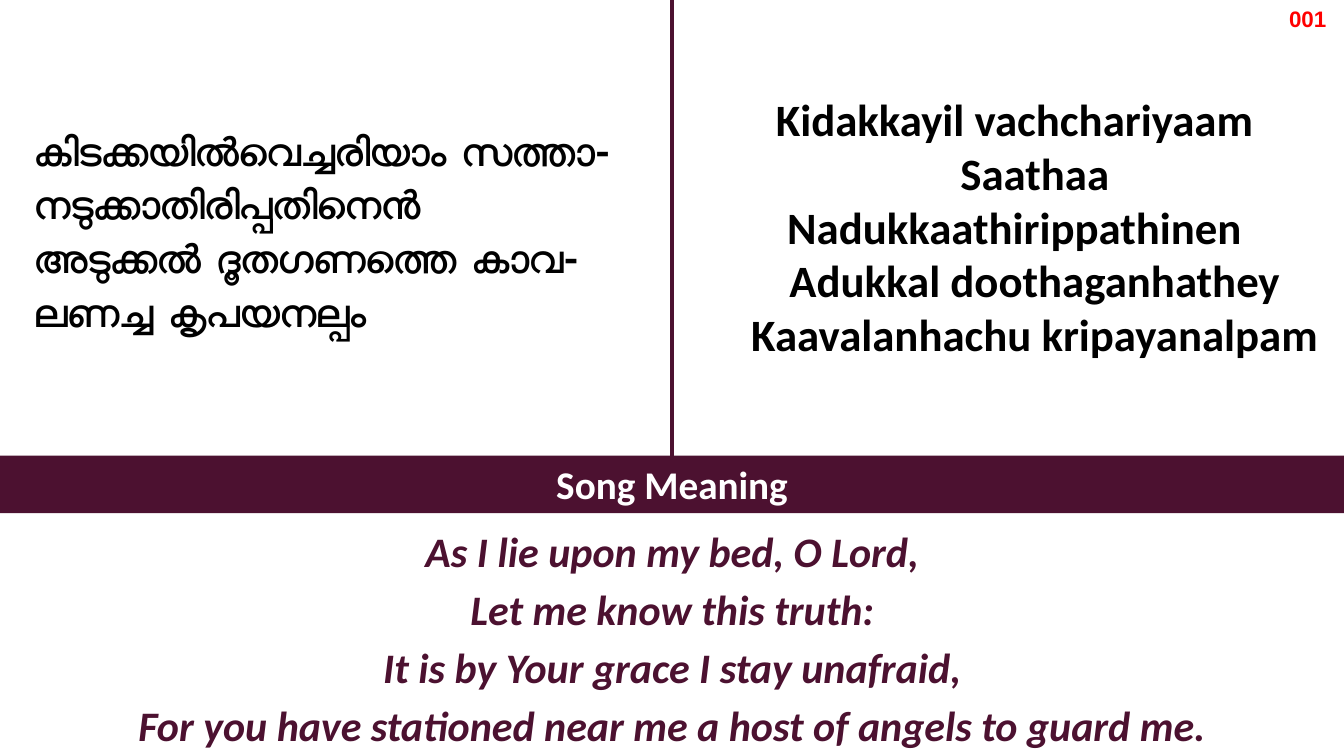
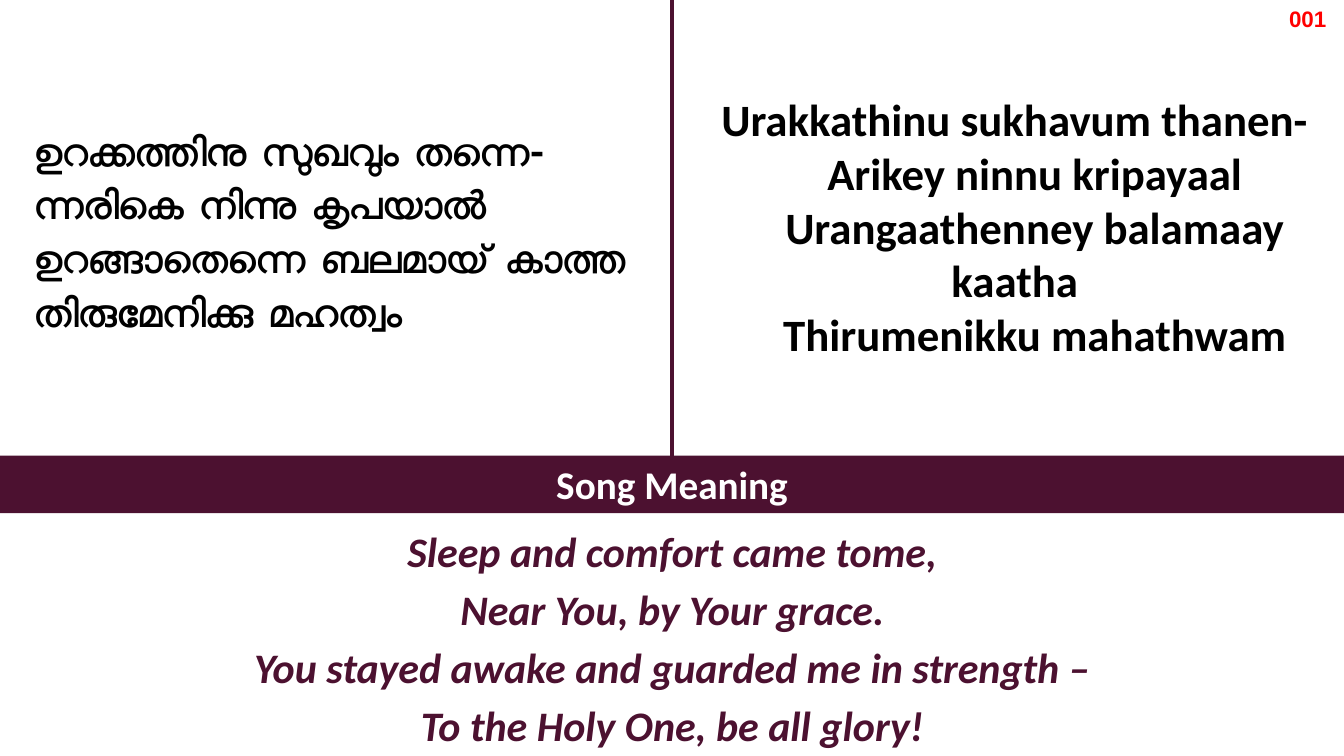
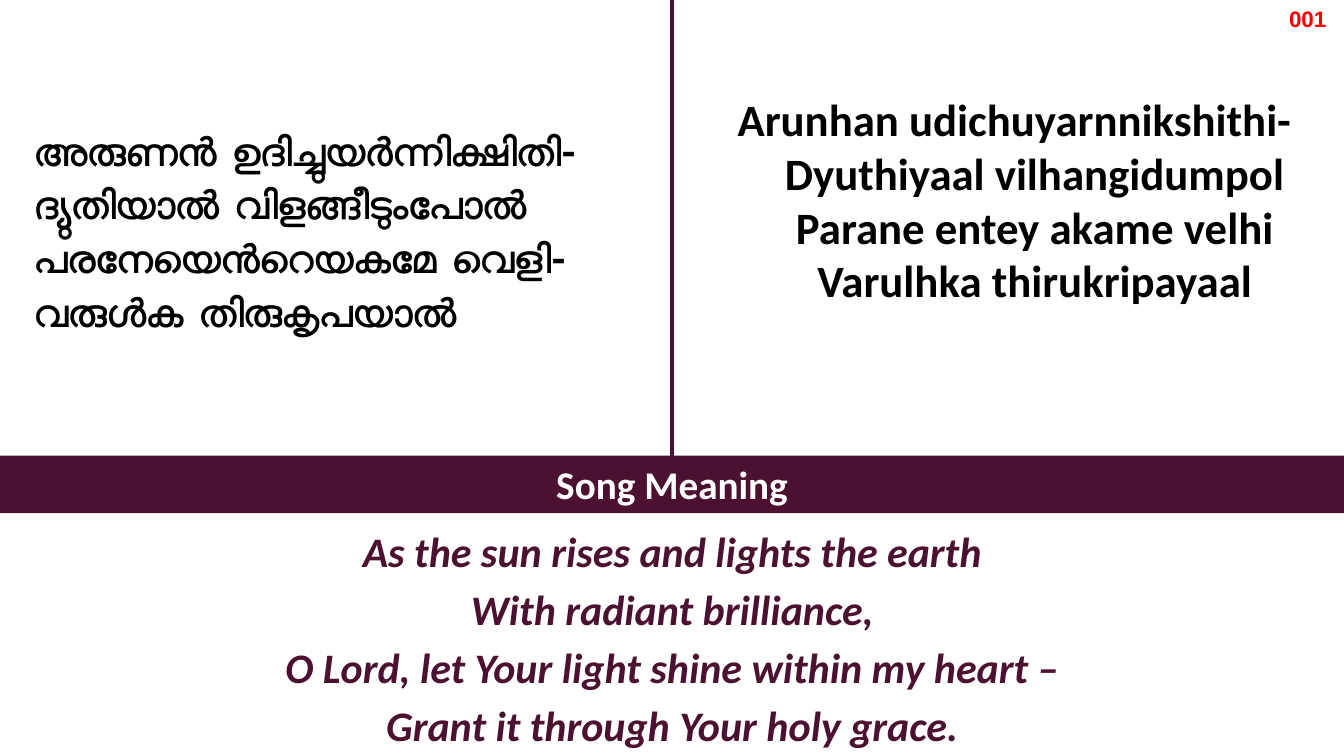
import pptx
import pptx.dml.color
import pptx.enum.shapes
import pptx.enum.text
import pptx.oxml.ns
import pptx.util
from lxml import etree

Inches = pptx.util.Inches
Pt = pptx.util.Pt
ALIGN = pptx.enum.text.PP_ALIGN
ANCHOR = pptx.enum.text.MSO_ANCHOR
FIT = pptx.enum.text.MSO_AUTO_SIZE

PLUM, BLACK, WHITE, RED = "4C1130", "000000", "FFFFFF", "FF0000"
PAGE_WIDTH, PAGE_HEIGHT = 13.33, 7.5
BAND_TOP, BAND_HEIGHT = 4.52, 0.57
VERSE_LINE_HEIGHT = 0.54
VERSE_INDENT = 0.4
SONG_NUMBER = "001"

# Each stanza: Malayalam lines, transliterated lines, rows these wrap to, meaning
STANZAS = [
    (
        ["കിടക്കയിൽവെച്ചരിയാം സത്താ-", "നടുക്കാതിരിപ്പതിനെൻ",
         "അടുക്കൽ ദൂതഗണത്തെ കാവ-", "ലണച്ച കൃപയനല്പം"],
        ["Kidakkayil vachchariyaam", "Saathaa Nadukkaathirippathinen",
         "Adukkal doothaganhathey", "Kaavalanhachu kripayanalpam"],
        5,
        ["As I lie upon my bed, O Lord,", "Let me know this truth:",
         "It is by Your grace I stay unafraid,",
         "For you have stationed near me a host of angels to guard me."],
    ),
    (
        ["ഉറക്കത്തിനു സുഖവും തന്നെ-", "ന്നരികെ നിന്നു കൃപയാൽ",
         "ഉറങ്ങാതെന്നെ ബലമായ് കാത്ത", "തിരുമേനിക്കു മഹത്വം"],
        ["Urakkathinu sukhavum thanen-", "Arikey ninnu kripayaal",
         "Urangaathenney balamaay kaatha", "Thirumenikku mahathwam"],
        5,
        ["Sleep and comfort came tome,", "Near You, by Your grace.",
         "You stayed awake and guarded me in strength –",
         "To the Holy One, be all glory!"],
    ),
    (
        ["അരുണൻ ഉദിച്ചുയർന്നിക്ഷിതി-", "ദ്യുതിയാൽ വിളങ്ങീടുംപോൽ",
         "പരനേയെൻറെയകമേ വെളി-", "വരുൾക തിരുകൃപയാൽ"],
        ["Arunhan udichuyarnnikshithi-", "Dyuthiyaal vilhangidumpol",
         "Parane entey akame velhi", "Varulhka thirukripayaal"],
        4,
        ["As the sun rises and lights the earth", "With radiant brilliance,",
         "O Lord, let Your light shine within my heart –",
         "Grant it through Your holy grace."],
    ),
]


def color(value):
    return pptx.dml.color.RGBColor.from_string(value)


def write(shape, text, font, size, fill, align=ALIGN.CENTER, spacing=None,
          italic=False, anchor=ANCHOR.TOP, fit=FIT.SHAPE_TO_FIT_TEXT,
          insets=(0.1, 0.05)):
    """Fill a shape with bold text, one paragraph a line."""
    frame = shape.text_frame
    frame.text = text
    frame.word_wrap = True
    frame.auto_size = fit
    frame.vertical_anchor = anchor
    frame.margin_left = frame.margin_right = Inches(insets[0])
    frame.margin_top = frame.margin_bottom = Inches(insets[1])
    for paragraph in frame.paragraphs:
        paragraph.alignment = align
        if spacing:
            paragraph.line_spacing = spacing
        for span in paragraph.runs:
            span.font.name = font
            span.font.size = Pt(size)
            span.font.bold = True
            span.font.italic = italic
            span.font.color.rgb = color(fill)


def add_text(page, box, text, font, size, fill, **style):
    shape = page.shapes.add_textbox(*map(Inches, box))
    write(shape, text, font, size, fill, **style)
    return shape


def place_malayalam(page, box, lines):
    title = page.shapes.title
    title.left, title.top, title.width, title.height = map(Inches, box)
    write(title, "\v".join(lines), "Roboto", 28, BLACK, align=ALIGN.LEFT,
          spacing=1.14, anchor=ANCHOR.MIDDLE, fit=FIT.NONE)


def add_transliteration(page, box, lines):
    """Centred verse whose later paragraphs have a first-line indent."""
    shape = add_text(page, box, "\n".join(lines), "Calibri", 32, BLACK,
                     insets=(0.12, 0.06))
    for paragraph in shape.text_frame.paragraphs[1:]:
        properties = paragraph._p.get_or_add_pPr()
        properties.set("marL", "0")
        properties.set("indent", str(Inches(VERSE_INDENT)))


def add_band(page, box):
    band = page.shapes.add_shape(
        pptx.enum.shapes.MSO_SHAPE.RECTANGLE, *map(Inches, box))
    band.shadow.inherit = False
    band.fill.solid()
    band.fill.fore_color.rgb = color(PLUM)
    band.line.fill.background()
    write(band, "Song Meaning", "Calibri", 28, WHITE)
    return band


def add_divider(page, band):
    """Vertical line from the top of the page to the middle of the band."""
    middle = band.left + band.width // 2
    divider = page.shapes.add_connector(
        pptx.enum.shapes.MSO_CONNECTOR.STRAIGHT, middle, 0, middle, band.top)
    divider.end_connect(band, 0)
    divider.line.color.rgb = color(PLUM)
    divider.line.width = Pt(3)
    etree.SubElement(divider._element.spPr, pptx.oxml.ns.qn("a:effectLst"))


def add_stanza(deck, malayalam, verse, verse_rows, meaning):
    page = deck.slides.add_slide(deck.slide_layouts[5])
    place_malayalam(page, (0.24, 0.14, 6.42, 4.24), malayalam)
    verse_height = 0.12 + verse_rows * VERSE_LINE_HEIGHT
    add_transliteration(page, (6.8, 0.85, 6.53, verse_height), verse)
    add_text(page, (0.92, BAND_TOP + BAND_HEIGHT, 11.5, 2.42),
             "\n".join(meaning), "Calibri", 30, PLUM, spacing=1.15, italic=True)
    band = add_band(page, (0, BAND_TOP, PAGE_WIDTH, BAND_HEIGHT))
    add_divider(page, band)
    add_text(page, (12.6, 0, 0.74, 0.37), SONG_NUMBER, "Arial", 16, RED)


def main():
    deck = pptx.Presentation()
    deck.slide_width = Inches(PAGE_WIDTH)
    deck.slide_height = Inches(PAGE_HEIGHT)
    for stanza in STANZAS:
        add_stanza(deck, *stanza)
    deck.save("out.pptx")


if __name__ == "__main__":
    main()
